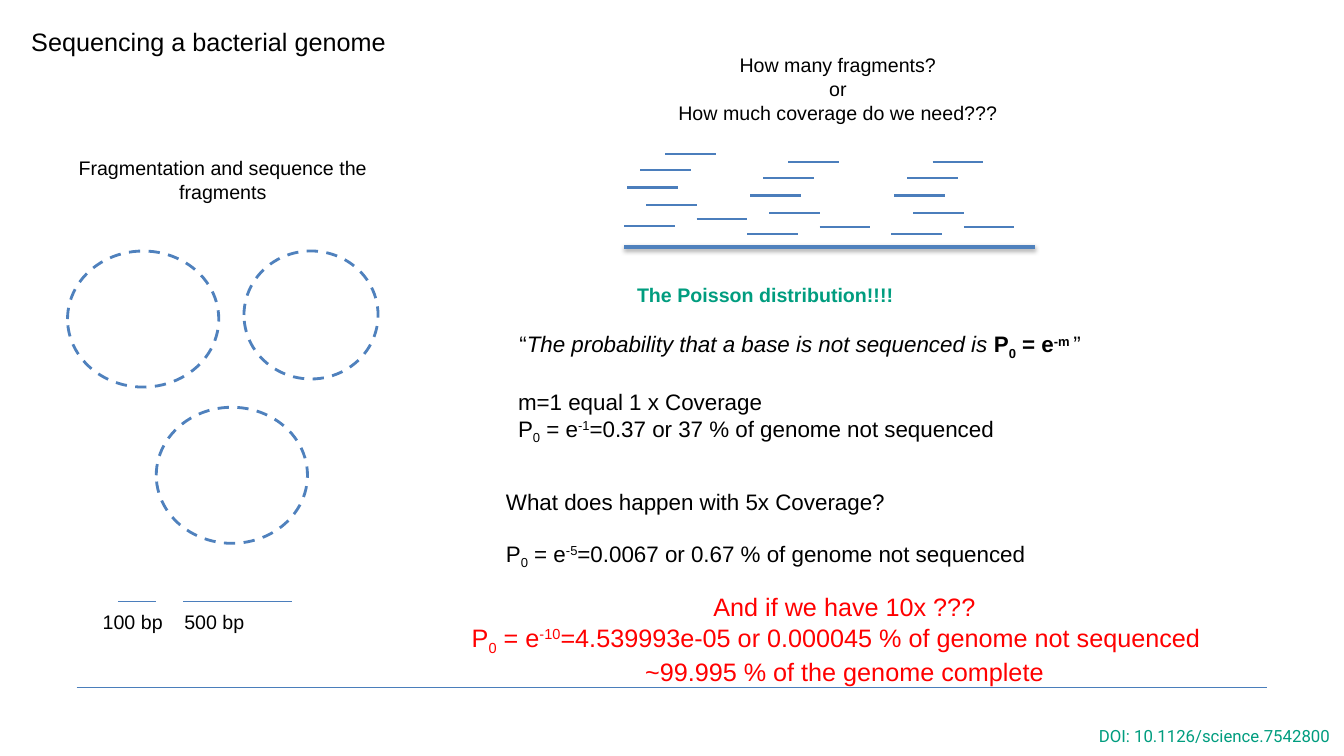
from lxml import etree
from pptx import Presentation
from pptx.dml.color import RGBColor
from pptx.enum.dml import MSO_LINE
from pptx.enum.shapes import MSO_CONNECTOR, MSO_SHAPE
from pptx.enum.text import MSO_ANCHOR, PP_ALIGN
from pptx.oxml.ns import qn
from pptx.util import Pt

PX = 9144  # 100 px to the inch
LEFT, CENTER = PP_ALIGN.LEFT, PP_ALIGN.CENTER
TOP, MIDDLE = MSO_ANCHOR.TOP, MSO_ANCHOR.MIDDLE
STRAIGHT, OVAL, DASH = MSO_CONNECTOR.STRAIGHT, MSO_SHAPE.OVAL, MSO_LINE.DASH

BLACK = RGBColor(0x00, 0x00, 0x00)
RED = RGBColor(0xFF, 0x00, 0x00)
GREEN = RGBColor(0x00, 0x9D, 0x7F)
BLUE = RGBColor(0x4F, 0x81, 0xBD)
STEEL = RGBColor(0x4B, 0x7E, 0xBC)
RULE = RGBColor(0x4A, 0x7E, 0xBB)

# Run styles: b bold, i italic, _ subscript, ^ superscript
SHIFT = {"_": "-25000", "^": "30000"}

deck = Presentation()
deck.slide_width, deck.slide_height = 1333 * PX, 750 * PX
slide = deck.slides.add_slide(deck.slide_layouts[6])
shapes = slide.shapes


def write(text, box, size=14, color=BLACK, font="Arial", align=LEFT,
          anchor=TOP, inset=None, wrap=True, gap=0):
    """Each line is a string or a list of (words, style) runs."""
    frame = shapes.add_textbox(*(n * PX for n in box)).text_frame
    frame.word_wrap = wrap
    frame.vertical_anchor = anchor
    if inset is not None:
        frame.margin_left = frame.margin_right = inset * PX
        frame.margin_top = frame.margin_bottom = inset * PX
    for i, line in enumerate(text):
        para = frame.paragraphs[0] if i == 0 else frame.add_paragraph()
        # A line of runs in a centred box still starts at the left if asked
        para.alignment = align[i] if isinstance(align, list) else align
        if i and gap:
            para.space_before = Pt(gap)
        for words, style in [(line, "")] if isinstance(line, str) else line:
            run = para.add_run()
            run.text = words
            run.font.name, run.font.size = font, Pt(size)
            run.font.color.rgb = color
            run.font.bold, run.font.italic = "b" in style, "i" in style
            for mark in SHIFT:
                if mark in style:
                    run._r.get_or_add_rPr().set("baseline", SHIFT[mark])


def draw(x, y, length, color, weight):
    line = shapes.add_connector(STRAIGHT, x * PX, y * PX, (x + length) * PX, y * PX)
    line.line.color.rgb, line.line.width = color, Pt(weight)
    return etree.SubElement(line._element.spPr, qn("a:effectLst"))


# Footer rule and title
draw(76, 682, 1181, RULE, 0.75)
write(["Sequencing a bacterial genome"], (31, 12, 1049, 58), size=18,
      anchor=MIDDLE, inset=0)

# Genomes to be fragmented
for x, y, w, h in [(67, 249, 150, 135), (242, 249, 133, 127), (155, 404, 150, 135)]:
    ring = shapes.add_shape(OVAL, x * PX, y * PX, w * PX, h * PX)
    ring.shadow.inherit = False
    ring.fill.background()
    ring.line.color.rgb, ring.line.width = BLUE, Pt(2)
    ring.line.dash_style = DASH
write(["Fragmentation and sequence the fragments"], (67, 150, 308, 71), align=CENTER)

# Scale bars
for label, bar, length, left in [("100 bp", 117, 38, 92), ("500 bp", 182, 108, 173)]:
    draw(bar, 597, length, STEEL, 0.75)
    write([label], (left, 600, 80, 40), wrap=False)

# Question
write(["How many fragments?", "or", "How much coverage do we need???"],
      (652, 48, 358, 81), align=CENTER)

# Reference genome with its shadow
effect = draw(619, 245, 408, BLUE, 3)
shade = etree.SubElement(effect, qn("a:outerShdw"), blurRad="40000", dist="23000",
                         dir="5400000", rotWithShape="0")
tint = etree.SubElement(shade, qn("a:srgbClr"), val="000000")
etree.SubElement(tint, qn("a:alpha"), val="35000")

# Three equal clusters of reads
READS = [(0, 0), (22, -21), (3, -38), (72, -7), (16, -55), (41, -71)]
for x, y in [(619, 224), (741, 232), (884, 232)]:
    for dx, dy in READS:
        draw(x + dx, y + dy, 50, STEEL, 1.5)

# Poisson distribution
write(["The Poisson distribution!!!!"] and [[("The Poisson distribution!!!!", "b")]],
      (622, 276, 350, 40), color=GREEN, wrap=False)
write([[("“", ""), ("The probability that a base is not sequenced is ", "i"),
        ("P", "b"), ("0", "b_"), (" = e", "b"), ("-m ", "b^"), ("”", "")]],
      (460, 323, 667, 37), size=16, align=CENTER)

# Worked cases: one, five and ten times coverage
one, five, ten = [
    [("P", ""), ("0", "_"), (" = e", ""), (power, "^"),
     (f"={share} % of genome not sequenced", "")]
    for power, share in [("-1", "0.37 or 37"), ("-5", "0.0067 or 0.67"),
                         ("-10", "4.539993e-05 or 0.000045")]]
write(["m=1 equal 1 x Coverage", one], (504, 380, 617, 91), size=16)
write(["What does happen with 5x Coverage?", five], (492, 479, 644, 91),
      size=16, gap=18)
write(["And if we have 10x ???", ten, "~99.995 % of the genome complete"],
      (458, 582, 759, 102), size=18, color=RED, align=[CENTER, LEFT, CENTER])

# Source
write(["DOI: 10.1126/science.7542800"], (1080, 715, 250, 30), size=12,
      color=GREEN, font="Roboto", wrap=False)

deck.save("out.pptx")
